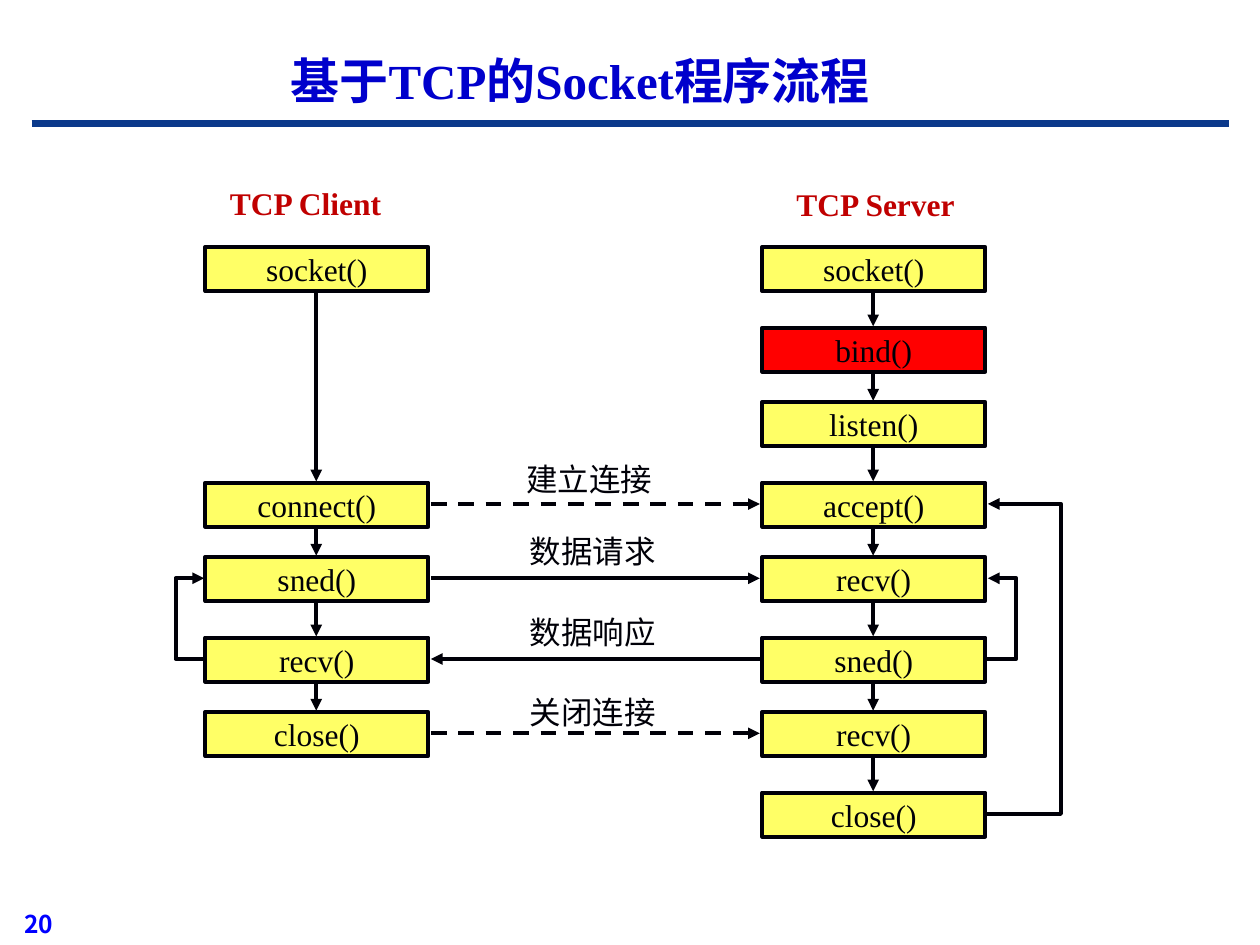
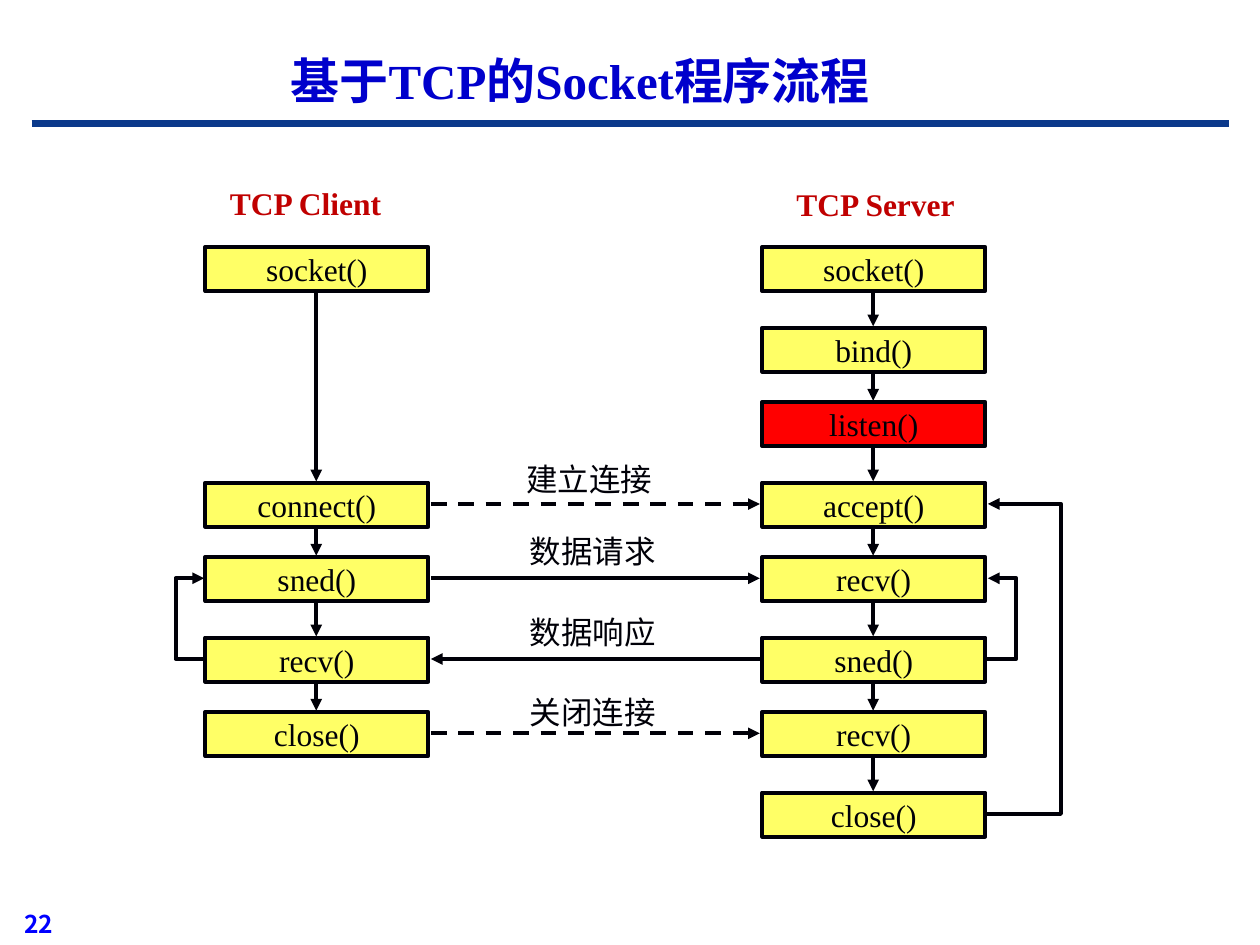
"""Build two slides that step through the TCP socket call sequence."""
from itertools import pairwise

from lxml.etree import SubElement
from pptx import Presentation
from pptx.dml.color import RGBColor
from pptx.enum.dml import MSO_LINE
from pptx.enum.shapes import MSO_CONNECTOR as Link, MSO_SHAPE as Preset
from pptx.enum.text import MSO_ANCHOR as Anchor, PP_ALIGN as Align
from pptx.oxml.ns import qn
from pptx.util import Pt

COLORS = {
    "title": "0000CC", "band": "0B398B", "number": "0000FF", "heading": "C00000",
    "ink": "000008", "call": "FFFF66", "active": "FF0000",
}
SERIF, SANS = "Times New Roman", "Noto Sans CJK JP"

TITLE = "基于TCP的Socket程序流程"
SLIDES = [("20", "bind()"), ("22", "listen()")]
HEADINGS = [("TCP Client", (118, 141, 249, 40)), ("TCP Server", (563, 142, 264, 40))]
CLIENT_CALLS = [(0, "socket()"), (3, "connect()"), (4, "sned()"), (5, "recv()"), (6, "close()")]
SERVER_CALLS = list(enumerate(
    ["socket()", "bind()", "listen()", "accept()", "recv()", "sned()", "recv()", "close()"]))
MESSAGES = [
    (3, "建立连接", (337, 360, 261, 40), "right", True),
    (4, "数据请求", (340, 417, 261, 40), "right", False),
    (5, "数据响应", (340, 482, 261, 40), "left", False),
    (6, "关闭连接", (340, 545, 261, 40), "right", True),
]
LOOPS = [("client", 5, 4, 24), ("server", 5, 4, 24), ("server", 7, 3, 60)]

SCALE = 9144
PAGE_W, PAGE_H = 1000, 750
CLIENT_X, SERVER_X = 163, 605
BOX_W, BOX_H = 177, 35
FIRST_ROW, ROW_PAIR, ODD_ROW = 196, 123, 64
GAP = 1


def px(length):
    return round(length * SCALE)


def rgb(name):
    return RGBColor.from_string(COLORS[name])


def row_top(row):
    return FIRST_ROW + row // 2 * ROW_PAIR + row % 2 * ODD_ROW


def row_middle(row):
    return row_top(row) + BOX_H // 2


def write(shape, text, size, color, bold=False, align=Align.CENTER,
          anchor=Anchor.TOP, wrap=True, font=SERIF):
    frame = shape.text_frame
    frame.word_wrap = wrap
    frame.vertical_anchor = anchor
    para = frame.paragraphs[0]
    para.alignment = align
    span = para.add_run()
    span.text = text
    span.font.size = Pt(size)
    span.font.bold = bold
    span.font.name = font
    span.font.color.rgb = rgb(color)
    SubElement(span.font._element, qn("a:ea"), typeface=SANS)


def add_text(page, place, text, size, color, **style):
    write(page.shapes.add_textbox(*map(px, place)), text, size, color, **style)


def add_line(page, start, end, color="ink", width=2.25, kind=Link.STRAIGHT,
             dashed=False, arrow=True):
    line = page.shapes.add_connector(kind, *map(px, (*start, *end)))
    line.line.color.rgb = rgb(color)
    line.line.width = Pt(width)
    if dashed:
        line.line.dash_style = MSO_LINE.DASH
    if arrow:
        SubElement(line.line._get_or_add_ln(), qn("a:tailEnd"), type="triangle")
    SubElement(line._element.spPr, qn("a:effectLst"))
    return line


def add_column(page, left, calls, active=None):
    for row, call in calls:
        box = page.shapes.add_shape(
            Preset.RECTANGLE, *map(px, (left, row_top(row), BOX_W, BOX_H)))
        box.shadow.inherit = False
        box.fill.solid()
        box.fill.fore_color.rgb = rgb("active" if call == active else "call")
        box.line.color.rgb = rgb("ink")
        box.line.width = Pt(2.25)
        write(box, call, 18, "ink", anchor=Anchor.MIDDLE, wrap=False)
    middle = left + BOX_W // 2
    for (upper, _), (lower, _) in pairwise(calls):
        add_line(page, (middle, row_top(upper) + BOX_H + GAP), (middle, row_top(lower) - GAP))


def add_messages(page):
    left, right = CLIENT_X + BOX_W + 2 * GAP, SERVER_X - 2 * GAP
    for row, text, place, direction, dashed in MESSAGES:
        y = row_middle(row)
        ends = [(left, y), (right, y)]
        if direction == "left":
            ends.reverse()
        add_line(page, *ends, dashed=dashed)
        add_text(page, place, text, 18, "ink")


def add_loops(page):
    for side, start_row, end_row, reach in LOOPS:
        start_x, step = (CLIENT_X, -GAP) if side == "client" else (SERVER_X + BOX_W + GAP, GAP)
        loop = add_line(page, (start_x, row_middle(start_row)),
                        (start_x + step, row_middle(end_row)), kind=Link.ELBOW)
        guides = loop._element.spPr.find(qn("a:prstGeom")).get_or_add_avLst()
        SubElement(guides, qn("a:gd"), name="adj1", fmla=f"val {reach * 100000 // GAP}")


def add_page(deck, number, active):
    page = deck.slides.add_slide(deck.slide_layouts[6])
    add_text(page, (0, 708, 52, 42), number, 14, "number", bold=True,
             align=Align.RIGHT, anchor=Anchor.BOTTOM, font=SANS)
    add_line(page, (25, 98), (975, 98), color="band", width=4.5, arrow=False)
    add_text(page, (52, 32, 817, 62), TITLE, 28, "title", bold=True, anchor=Anchor.MIDDLE)
    for text, place in HEADINGS:
        add_text(page, place, text, 18, "heading", bold=True)
    add_column(page, CLIENT_X, CLIENT_CALLS)
    add_column(page, SERVER_X, SERVER_CALLS, active)
    add_messages(page)
    add_loops(page)


def main():
    deck = Presentation()
    deck.slide_width, deck.slide_height = px(PAGE_W), px(PAGE_H)
    for number, active in SLIDES:
        add_page(deck, number, active)
    deck.save("out.pptx")


if __name__ == "__main__":
    main()
